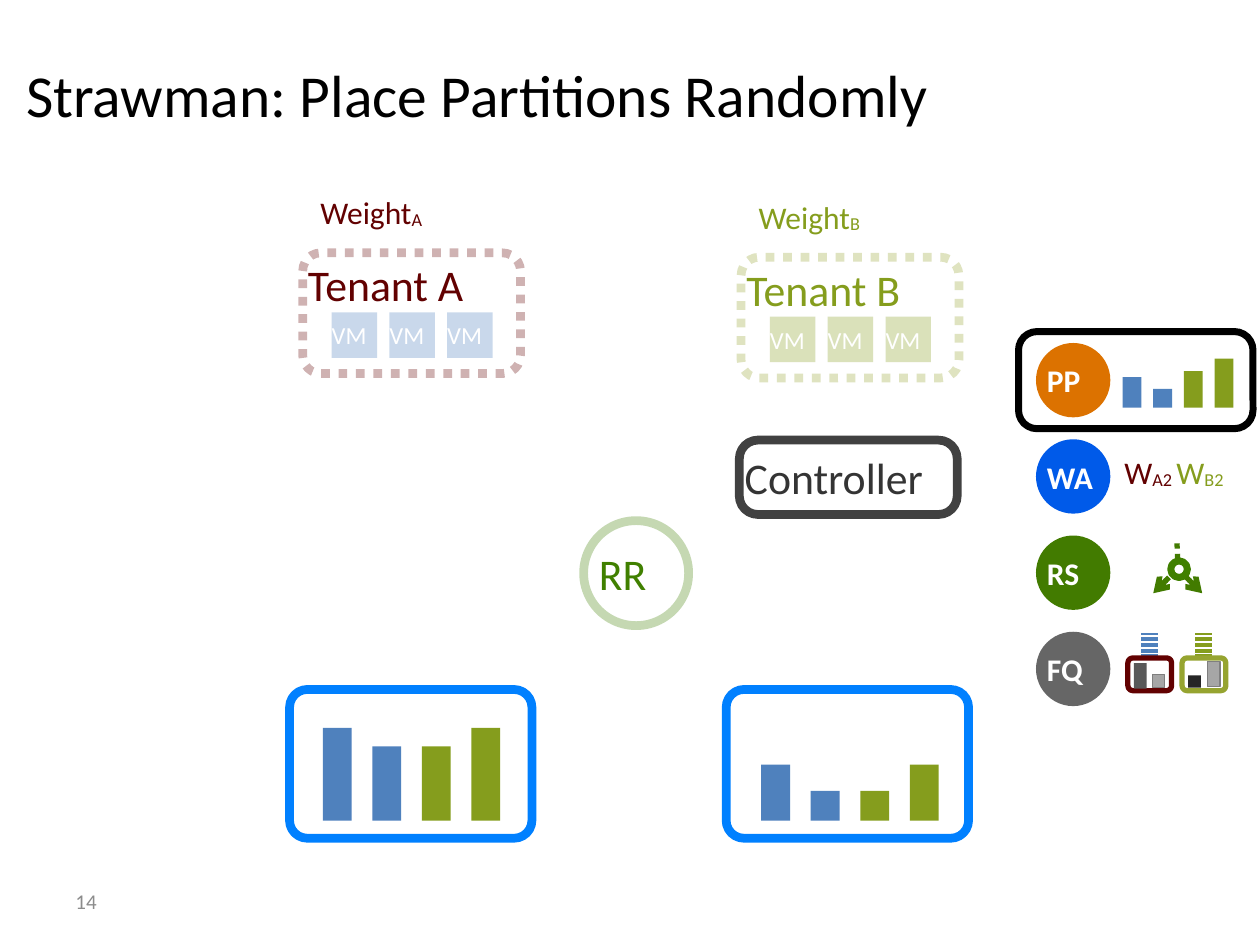
from lxml.etree import SubElement
from pptx import Presentation
from pptx.dml.color import RGBColor
from pptx.enum.dml import MSO_LINE
from pptx.enum.shapes import MSO_CONNECTOR, MSO_SHAPE
from pptx.enum.text import MSO_ANCHOR, PP_ALIGN
from pptx.oxml.ns import qn
from pptx.util import Pt

BLUE, GREEN, MAROON, OLIVE = "4F81BD", "859D1D", "620101", "96A430"
WHITE, ARROW, RING = "FFFFFF", "427B00", "408000"
BAR_COLORS = (BLUE, BLUE, GREEN, GREEN)
FADED = 30

# letter, left, top, text colour, outline colour, VM colour
TENANTS = [
    ("A", 173, 144.5, MAROON, MAROON, BLUE),
    ("B", 423.5, 147, GREEN, OLIVE, GREEN),
]
# left edge of the server, left edge of its bars, bar heights
SERVERS = [
    (165.5, 184.5, (53, 42.5, 42.5, 53)),
    (415, 435, (32, 17, 17, 32)),
]
MECHANISMS = [("PP", "DC7200"), ("WA", "005AE9"), ("RS", ARROW), ("FQ", "666666")]
PLACEMENT_HEIGHTS = (17.5, 10.8, 21, 28)
LOCAL_WEIGHTS = [("W", MAROON, False), ("A2 ", MAROON, True),
                 ("W", GREEN, False), ("B2", GREEN, True)]
# start, end, has arrowhead at the start
SELECTION_LINES = [
    ((659, 339), (669, 329), True),
    ((687, 339), (677, 329), True),
    ((673, 319.5), (672.5, 309), False),
]
# box left, outline, queue left, queue colour
QUEUES = [(644.5, MAROON, 651.5, BLUE), (675.5, OLIVE, 682.5, GREEN)]
QUEUE_HEIGHTS = (14.5, 10, 3.5)
# left, top, height, fill, outline
QUEUE_BARS = [
    (648, 379, 14.5, "595959", None),
    (658.5, 385.5, 7.5, "A6A6A6", "7F7F7F"),
    (679, 386, 7, "262626", None),
    (690, 378, 14.5, "A6A6A6", "7F7F7F"),
]

deck = Presentation()
deck.slide_width, deck.slide_height = Pt(720), Pt(540)
page = deck.slides.add_slide(deck.slide_layouts[6])


def rgb(value):
    return RGBColor.from_string(value)


def paint(fill, color, alpha=None):
    """Fill with a solid colour, at alpha percent opacity if given."""
    fill.solid()
    fill.fore_color.rgb = rgb(color)
    if alpha:
        node = fill._xPr.find(qn("a:solidFill"))[0]
        SubElement(node, qn("a:alpha"), val=str(alpha * 1000))


def write(box, spans, size, bold=False, anchor=MSO_ANCHOR.MIDDLE, inset=0, wrap=True):
    """Write one left-aligned paragraph of (text, colour, is subscript) spans."""
    frame = box.text_frame
    frame.word_wrap = wrap
    frame.vertical_anchor = anchor
    frame.margin_left = frame.margin_right = Pt(inset)
    frame.margin_top = frame.margin_bottom = Pt(inset / 2)
    para = frame.paragraphs[0]
    para.alignment = PP_ALIGN.LEFT
    para.font.name, para.font.size, para.font.bold = "Calibri", Pt(size), bold
    for text, color, subscript in spans:
        span = para.add_run()
        span.text = text
        span.font.color.rgb = rgb(color)
        if subscript:
            span._r.get_or_add_rPr().set("baseline", "-6000")


def add_text(left, top, width, height, spans, size, **options):
    box = page.shapes.add_textbox(Pt(left), Pt(top), Pt(width), Pt(height))
    write(box, spans, size, **options)


def add_box(kind, left, top, width, height, fill=None, line=None, weight=1,
            fill_alpha=None, line_alpha=None, corner=None):
    box = page.shapes.add_shape(kind, Pt(left), Pt(top), Pt(width), Pt(height))
    box.shadow.inherit = False
    if corner is not None:
        box.adjustments[0] = corner
    if fill:
        paint(box.fill, fill, fill_alpha)
    else:
        box.fill.background()
    if line:
        box.line.width = Pt(weight)
        paint(box.line.fill, line, line_alpha)
    else:
        box.line.fill.background()
    return box


def add_bars(left, bottom, width, pitch, heights):
    for index, (height, color) in enumerate(zip(heights, BAR_COLORS)):
        add_box(MSO_SHAPE.RECTANGLE, left + index * pitch, bottom - height,
                width, height, color)


def add_line(start, end, arrow):
    line = page.shapes.add_connector(
        MSO_CONNECTOR.STRAIGHT, *(Pt(value) for value in start + end))
    line.line.width = Pt(3)
    paint(line.line.fill, ARROW)
    line.line.dash_style = MSO_LINE.ROUND_DOT
    if arrow:
        SubElement(line.line._get_or_add_ln(), qn("a:headEnd"), type="arrow")
    SubElement(line._element.spPr, qn("a:effectLst"))


add_text(36, 500.5, 168, 29, [("14", "8C8C8C", False)], 12, inset=7.2)
add_text(15, 18.5, 689, 70,
         [("Strawman: Place Partitions Randomly", "000000", False)], 34)

for left, bars_left, heights in SERVERS:
    add_box(MSO_SHAPE.ROUNDED_RECTANGLE, left, 394, 138.5, 85,
            line="0080FF", weight=5, corner=0.12)
    add_bars(bars_left, 469, 16.5, 28.3, heights)

for letter, left, top, color, outline, vm_color in TENANTS:
    tenant = add_box(MSO_SHAPE.ROUNDED_RECTANGLE, left, top, 124.5, 69, WHITE, outline, 5,
                     fill_alpha=FADED, line_alpha=FADED, corner=0.15)
    tenant.line.dash_style = MSO_LINE.ROUND_DOT
    write(tenant, [(f"Tenant {letter}", color, False)], 25, anchor=MSO_ANCHOR.TOP)
    for index in range(3):
        machine = add_box(MSO_SHAPE.RECTANGLE, left + 16.5 + index * 33, top + 34, 26, 26,
                          vm_color, fill_alpha=FADED)
        write(machine, [("VM", WHITE, False)], 14)
    add_text(left + 10, top - 34, 60, 21.5,
             [("Weight", color, False), (letter, color, True)], 18, wrap=False)

add_box(MSO_SHAPE.ROUNDED_RECTANGLE, 582, 189.5, 134, 55.5,
        line="000000", weight=4, corner=0.19)
for index, (name, color) in enumerate(MECHANISMS):
    badge = add_box(MSO_SHAPE.OVAL, 592, 196 + index * 55, 42.5, 42.5, color)
    write(badge, [(name, WHITE, False)], 18, bold=True)

add_bars(641.5, 233, 10.8, 17.5, PLACEMENT_HEIGHTS)
add_text(642.5, 259, 62.5, 21.5, LOCAL_WEIGHTS, 18, wrap=False)

add_box(MSO_SHAPE.OVAL, 669, 320.5, 9.5, 9.5, WHITE, RING, 4)
for start, end, arrow in SELECTION_LINES:
    add_line(start, end, arrow)

for left, outline, queue_left, color in QUEUES:
    for height in QUEUE_HEIGHTS:
        add_box(MSO_SHAPE.RECTANGLE, queue_left, 368.5 - height / 2, 10.8, height,
                color, WHITE)
    add_box(MSO_SHAPE.ROUNDED_RECTANGLE, left, 376, 25, 18.7,
            line=outline, weight=3, corner=0.15)
for left, top, height, fill, outline in QUEUE_BARS:
    add_box(MSO_SHAPE.RECTANGLE, left, top, 7.2, height, fill, outline, 0.75)

controller = add_box(MSO_SHAPE.ROUNDED_RECTANGLE, 422.5, 251.5, 124.5, 42.5,
                     line="414141", weight=5, corner=0.25)
write(controller, [("Controller", "343434", False)], 25)
router = add_box(MSO_SHAPE.OVAL, 333.5, 297.5, 60, 60, WHITE, RING, 5,
                 fill_alpha=FADED, line_alpha=FADED)
write(router, [("RR", RING, False)], 25)

deck.save("out.pptx")
